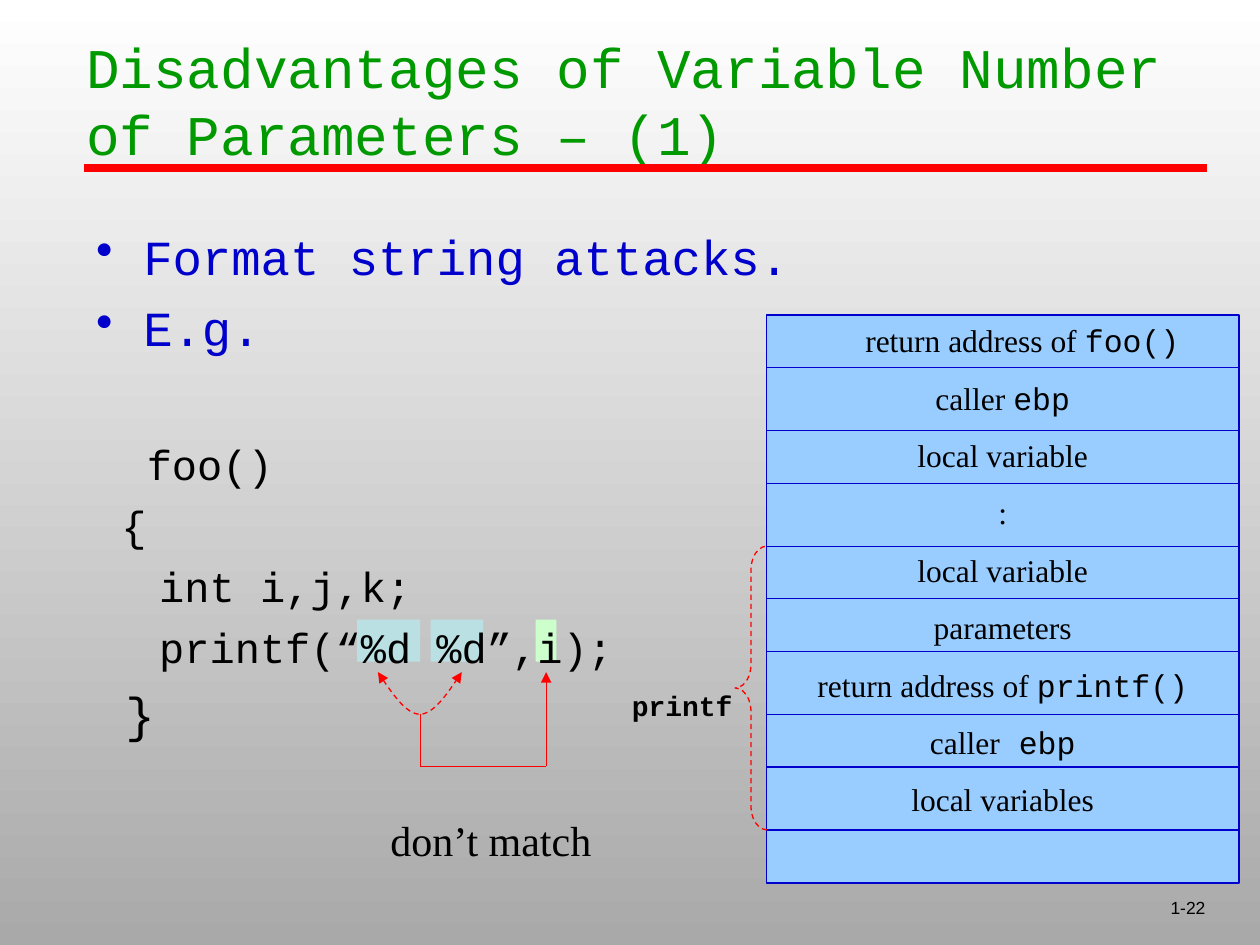
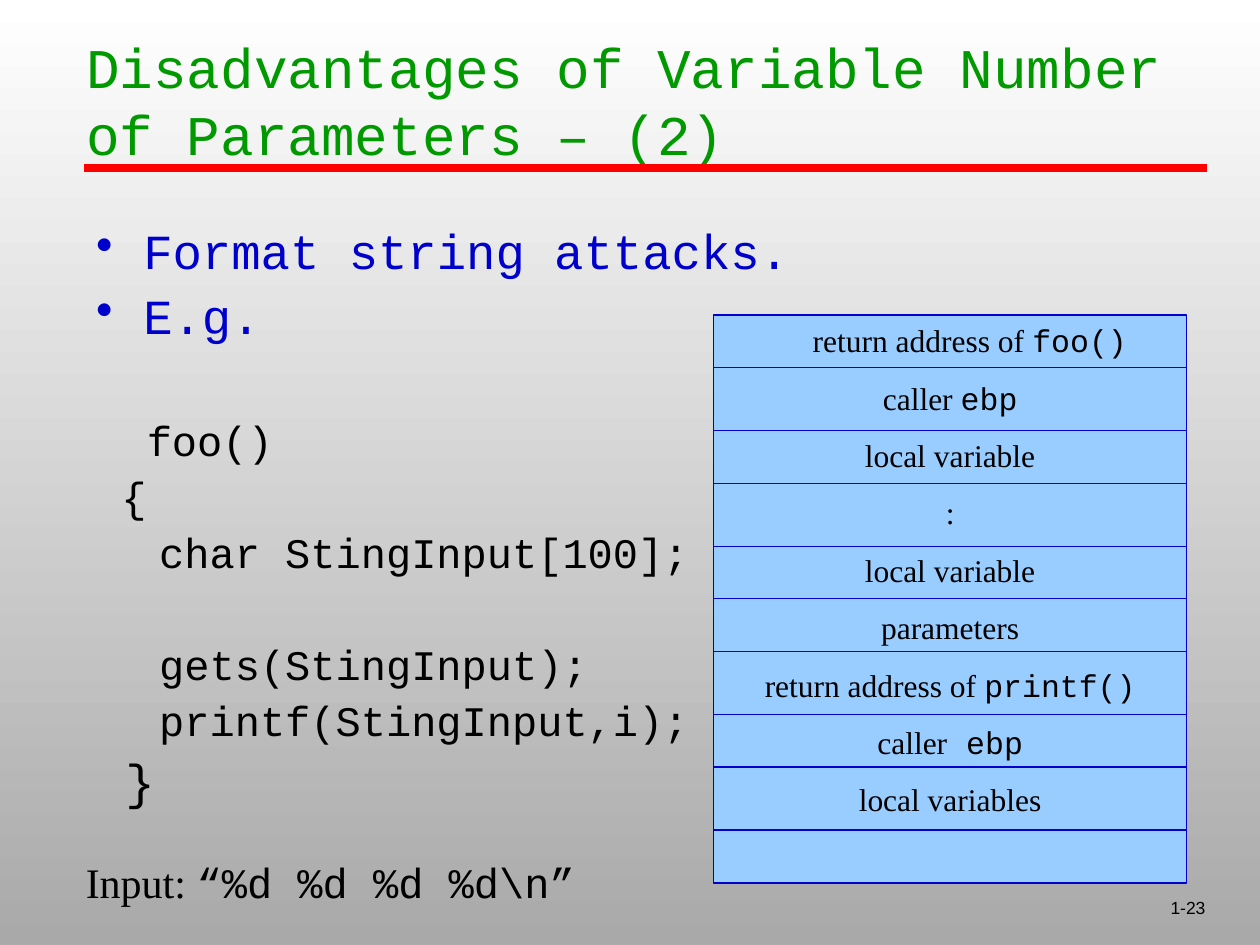
from itertools import accumulate

from pptx import Presentation
from pptx.dml.color import RGBColor
from pptx.enum.dml import MSO_LINE
from pptx.enum.shapes import MSO_CONNECTOR, MSO_SHAPE
from pptx.enum.text import MSO_ANCHOR, MSO_AUTO_SIZE, PP_ALIGN
from pptx.oxml.ns import qn
from pptx.util import Cm, Pt
from lxml import etree

WHITE = RGBColor(0xFF, 0xFF, 0xFF)
GREY = RGBColor(0xA9, 0xA9, 0xA9)
BLACK = RGBColor(0, 0, 0)
RED = RGBColor(0xFF, 0, 0)
GREEN = RGBColor(0, 0x99, 0)
BLUE = RGBColor(0, 0, 0xCC)
SKY = RGBColor(0x99, 0xCC, 0xFF)
TEAL = RGBColor(0xBB, 0xE0, 0xE3)
MINT = RGBColor(0xCC, 0xFF, 0xCC)

MONO, SERIF, SANS = "Courier New", "Times New Roman", "Arial"
RECTANGLE, LEFT_BRACE = MSO_SHAPE.RECTANGLE, MSO_SHAPE.LEFT_BRACE
STRAIGHT, DASH = MSO_CONNECTOR.STRAIGHT, MSO_LINE.DASH
TOP, MIDDLE, BOTTOM = MSO_ANCHOR.TOP, MSO_ANCHOR.MIDDLE, MSO_ANCHOR.BOTTOM
LEFT, CENTER, RIGHT = PP_ALIGN.LEFT, PP_ALIGN.CENTER, PP_ALIGN.RIGHT
NO_AUTOSIZE = MSO_AUTO_SIZE.NONE
TITLE_ONLY = 5

STACK_TOP, STACK_WIDTH, STACK_HEIGHT = 6.35, 9.53, 11.45
SHORT, TALL = 1.06, 1.27
ROW_HEIGHTS = [SHORT, TALL, SHORT, TALL, SHORT, SHORT, TALL, SHORT, TALL]
STACK_ROWS = [
    [("return address of ", SERIF), ("foo()", MONO)],
    [("caller ", SERIF), ("ebp", MONO)],
    [("local variable", SERIF)],
    [(":", SERIF)],
    [("local variable", SERIF)],
    [("parameters", SERIF)],
    [("return address of ", SERIF), ("printf()", MONO)],
    [("caller", SERIF), (" ebp", MONO)],
    [("local variables", SERIF)],
]


class Deck:
    def __init__(self):
        self.deck = Presentation()
        self.deck.slide_width, self.deck.slide_height = Cm(25.4), Cm(19.05)
        fill = self.deck.slide_master.background.fill
        fill.gradient()
        fill.gradient_angle = 270
        for stop, color in zip(fill.gradient_stops, (WHITE, GREY)):
            stop.color.rgb = color

    def page(self, title, number):
        self.slide = self.deck.slides.add_slide(self.deck.slide_layouts[TITLE_ONLY])
        self.shapes = self.slide.shapes
        self.line(1.69, 3.39, 24.34, 3.39, RED, 4.5)
        self.text((19.26, 17.36, 5.29, 1.27), [(number, SANS)], 10,
                  align=RIGHT, anchor=BOTTOM)
        box = self.shapes.title
        box.left, box.top, box.width, box.height = map(Cm, (1.48, 0.42, 22.65, 3.18))
        self.frame(box, MIDDLE)
        self.para(box.text_frame.paragraphs[0], [(title, MONO)], 32, GREEN)

    def frame(self, box, anchor=TOP):
        frame = box.text_frame
        frame.word_wrap = True
        frame.auto_size = NO_AUTOSIZE
        frame.vertical_anchor = anchor
        return frame

    def para(self, para, spans, size, color=BLACK, align=LEFT, before=0, bold=False):
        para.alignment = align
        para.space_before = Pt(before)
        font = para.font
        font.size, font.bold = Pt(size), bold
        font.color.rgb = color
        if len(spans) == 1:
            font.name = spans[0][1]
        for words, name in spans:
            span = para.add_run()
            span.text = words
            if len(spans) > 1:
                span.font.name = name

    def text(self, place, spans, size, align=LEFT, anchor=TOP, before=0, bold=False):
        box = self.shapes.add_textbox(*map(Cm, place))
        para = self.frame(box, anchor).paragraphs[0]
        self.para(para, spans, size, align=align, before=before, bold=bold)

    def indent(self, para, left, bullet=False):
        props = para._p.get_or_add_pPr()
        props.set("marL", str(Cm(left)))
        props.set("indent", str(Cm(-left if bullet else 0)))
        if bullet:
            mark = etree.Element(qn("a:buChar"), char="•")
            props.find(qn("a:spcBef")).addnext(mark)

    def body(self, code, spacing, gap):
        box = self.shapes.add_textbox(*map(Cm, (1.69, 4.45, 22.65, 12.7)))
        frame = self.frame(box)
        bullets = [(words, 0.95, 28, 7) for words in ("Format string attacks.", "E.g.")]
        opening = [("foo()", 1.02, 24, gap), ("{", 0.51, 24, 6)]
        inner = [(words, 1.27, 24, before) for words, before in code]
        lines = bullets + opening + inner + [("}", 0.59, 28, 7)]
        for index, (words, left, size, before) in enumerate(lines):
            para = frame.add_paragraph() if index else frame.paragraphs[0]
            bullet = index < len(bullets)
            para.line_spacing = spacing
            self.para(para, [(words, MONO)], size, BLUE if bullet else BLACK,
                      before=before)
            self.indent(para, left, bullet)

    def outline(self, shape, color, width=0.75, dash=None, arrows=()):
        shape.line.color.rgb = color
        shape.line.width = Pt(width)
        if dash:
            shape.line.dash_style = dash
        for end in arrows:
            etree.SubElement(shape.line._get_or_add_ln(), qn(end), type="triangle")

    def line(self, left, top, right, bottom, color, width=0.75, arrows=()):
        line = self.shapes.add_connector(STRAIGHT, *map(Cm, (left, top, right, bottom)))
        self.outline(line, color, width, arrows=arrows)
        etree.SubElement(line._element.spPr, qn("a:effectLst"))

    def rectangle(self, place, color):
        box = self.shapes.add_shape(RECTANGLE, *map(Cm, place))
        box.shadow.inherit = False
        box.fill.solid()
        box.fill.fore_color.rgb = color
        box.line.fill.background()
        return box

    def stack(self, left):
        box = self.rectangle((left, STACK_TOP, STACK_WIDTH, STACK_HEIGHT), SKY)
        self.outline(box, BLUE)
        frame = self.frame(box)
        for index, spans in enumerate(STACK_ROWS):
            para = frame.add_paragraph() if index else frame.paragraphs[0]
            self.para(para, spans, 18, align=CENTER, before=11.2)
        self.indent(frame.paragraphs[0], 0.79)
        for top in list(accumulate(ROW_HEIGHTS, initial=STACK_TOP))[1:]:
            self.line(left, top, left + STACK_WIDTH, top, BLUE)

    def brace(self, place):
        brace = self.shapes.add_shape(LEFT_BRACE, *map(Cm, place))
        brace.shadow.inherit = False
        brace.fill.background()
        brace.adjustments[0] = 0.75
        self.outline(brace, RED, dash=DASH)

    def dip(self, left, top, width, height, steps=12):
        half = []
        for step in range(steps + 1):
            t = step / steps
            half.append((width / 2 * t, height * (1.5 * t * (1 - t) + t * t)
                         + height * t * t * (1 - t) / 2))
        points = half + [(width - x, y) for x, y in reversed(half[:-1])]
        points = [(Cm(left + x), Cm(top + y)) for x, y in points]
        builder = self.shapes.build_freeform(*points[0])
        builder.add_line_segments(points[1:], close=False)
        curve = builder.convert_to_shape()
        curve.shadow.inherit = False
        curve.fill.background()
        self.outline(curve, RED, dash=DASH, arrows=("a:headEnd", "a:tailEnd"))


def mismatch_page(deck):
    deck.page("Disadvantages of Variable Number of Parameters – (1)", "1-22")
    for left, width, color in ((7.2, 1.27, TEAL), (8.68, 1.06, TEAL), (10.8, 0.42, MINT)):
        deck.rectangle((left, 12.49, width, 0.85), color)
    deck.body([("int i,j,k;", 6), ("printf(“%d %d”,i);", 6)], 1.0, 46.6)
    deck.dip(7.62, 13.55, 1.69, 0.85)
    deck.line(8.47, 14.39, 8.47, 15.45, RED)
    deck.line(8.47, 15.45, 11.01, 15.45, RED)
    deck.line(11.01, 13.55, 11.01, 15.45, RED, arrows=("a:headEnd",))
    deck.text((7.62, 16.3, 5.72, 1.27), [("don’t match", SERIF)], 24, before=15)
    deck.stack(15.45)
    deck.brace((14.82, 11.01, 0.64, 5.72))
    deck.text((12.49, 13.76, 2.75, 0.94), [("printf", MONO)], 16, before=10, bold=True)


def input_page(deck):
    deck.page("Disadvantages of Variable Number of Parameters – (2)", "1-23")
    code = [("char StingInput[100];", 6), ("gets(StingInput);", 37.9),
            ("printf(StingInput,i);", 6)]
    deck.body(code, 0.9, 43.2)
    deck.stack(14.39)
    deck.text((1.48, 17.15, 11.64, 1.27),
              [("Input: ", SERIF), ("“%d %d %d %d\\n”", MONO)], 24, before=15)


def main():
    deck = Deck()
    mismatch_page(deck)
    input_page(deck)
    deck.deck.save("out.pptx")


if __name__ == "__main__":
    main()
